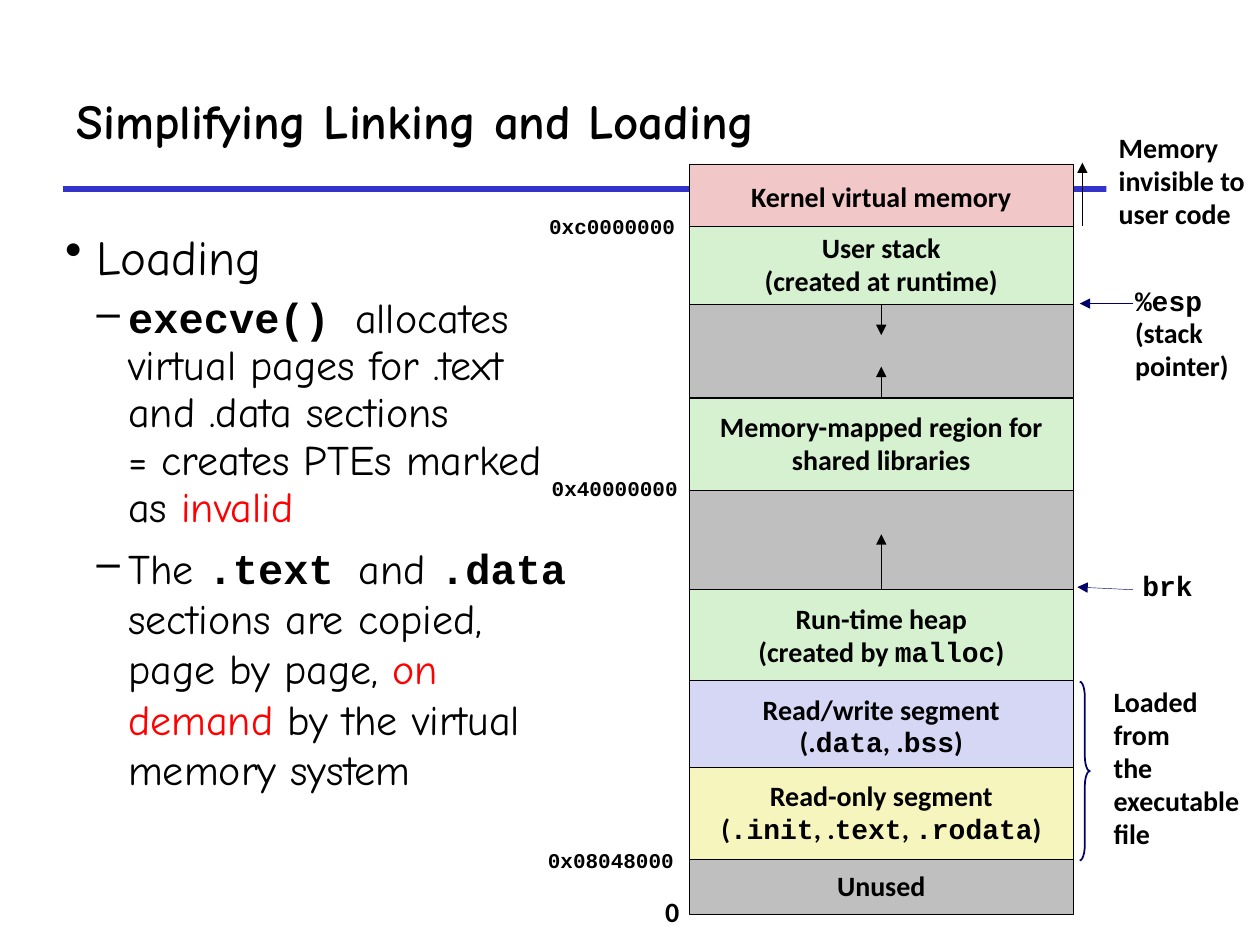
from dataclasses import dataclass
from typing import Optional

from lxml.etree import SubElement
from pptx import Presentation
from pptx.dml.color import RGBColor
from pptx.enum.shapes import MSO_CONNECTOR, MSO_SHAPE
from pptx.enum.text import MSO_ANCHOR, MSO_AUTO_SIZE, PP_ALIGN
from pptx.oxml.ns import qn
from pptx.util import Pt

COLORS = {
    "black": "000000", "white": "FFFFFF", "red": "FF0000", "rule": "3333CC",
    "navy": "000066", "pink": "F1C7C7", "green": "D5F1CF", "gray": "BFBFBF",
    "lavender": "D6D6F5", "yellow": "F6F5BD",
}
HAND, LABEL, CODE = "Comic Neue", "Calibri", "Courier New"
COLUMN_LEFT, COLUMN_WIDTH = 393.8, 219.6
COLUMN_CENTER = COLUMN_LEFT + COLUMN_WIDTH / 2
TOP, BOTTOM = 0, 2


@dataclass
class Run:
    text: str
    font: str = LABEL
    color: str = "black"
    bold: bool = True


@dataclass
class Region:
    name: str
    top: float
    height: float
    fill: str
    lines: tuple = ()


@dataclass
class Note:
    left: float
    top: float
    width: float
    height: float
    lines: tuple
    size: float = 16
    fill: Optional[str] = None


@dataclass
class Arrow:
    start: tuple
    end: tuple
    color: str = "black"
    region: Optional[str] = None
    site: int = TOP


@dataclass
class Bullet:
    runs: tuple
    size: float = 24
    level: int = 1
    mark: str = "–"
    indent: float = 36
    line_spacing: float = 1.0
    space_before: float = 5.6


def label(text: str) -> tuple:
    """Return a line in the label font."""
    return (Run(text),)


def code(text: str) -> tuple:
    """Return a line in the code font."""
    return (Run(text, CODE),)


def hand(text: str, color: str = "black") -> Run:
    """Return a regular run in the handwriting font."""
    return Run(text, HAND, color, False)


REGIONS = (
    Region("kernel", 93.6, 38.2, "pink", (label("Kernel virtual memory"),)),
    Region("mapped", 227.5, 52.6, "green",
           (label("Memory-mapped region for"), label("shared libraries"))),
    Region("heap gap", 280.1, 56.9, "gray"),
    Region("heap", 337, 52.6, "green",
           (label("Run-time heap"),
            (Run("(created by "), Run("malloc", CODE), Run(")")))),
    Region("stack gap", 155.5, 71.6, "gray"),
    Region("stack", 129.4, 44.6, "green",
           (label("User stack"), label("(created at runtime)"))),
    Region("unused", 491, 31.2, "gray", (label("Unused"),)),
    Region("read/write", 388.9, 52.6, "lavender",
           (label("Read/write segment"),
            (Run("(."), Run("data", CODE), Run(", ."), Run("bss", CODE), Run(")")))),
    Region("read-only", 438.5, 52.6, "yellow",
           (label("Read-only segment"),
            (Run("("), Run(".init", CODE), Run(", ."), Run("text", CODE),
             Run(", "), Run(".rodata", CODE), Run(")")))),
)
NOTES = (
    Note(373, 508.3, 22.3, 25.9, (label("0"),)),
    Note(641.5, 159.8, 68.4, 63.4, (code("%esp"), label("(stack"), label("pointer)"))),
    Note(632.2, 72, 86.4, 64.1,
         (label("Memory"), label("invisible to"), label("user code")), fill="white"),
    Note(645.8, 322.6, 43.2, 25.2, (code("brk"),)),
    Note(306.7, 119.5, 86.4, 20.9, (code("0xc0000000"),), 12),
    Note(306, 481.7, 86.4, 20.9, (code("0x08048000"),), 12),
    Note(308.2, 269.3, 86.4, 20.9, (code("0x40000000"),), 12),
    Note(629.3, 388.8, 90.7, 101.5,
         tuple(label(word) for word in ("Loaded", "from", "the", "executable", "file"))),
)
ARROWS = (
    Arrow((COLUMN_CENTER, 337), (COLUMN_CENTER, 305.3), region="heap"),
    Arrow((COLUMN_CENTER, 227.5), (COLUMN_CENTER, 209.5), region="mapped"),
    Arrow((COLUMN_CENTER, 174), (COLUMN_CENTER, 191.5), region="stack", site=BOTTOM),
    Arrow((647.3, 173.5), (617, 173.5), "navy"),
    Arrow((618.5, 128.9), (618.5, 92.9)),
    Arrow((647.3, 337), (615.6, 335.5), "navy"),
)
BULLETS = (
    Bullet((hand("Loading"),), 28, 0, "•", 18, space_before=0),
    Bullet((Run("execve() ", CODE),
            hand("allocates virtual pages for .text and .data sections "
                 "\n= creates PTEs marked as "),
            hand("invalid", "red")), line_spacing=0.94),
    Bullet((hand("The "), Run(".text ", CODE), hand("and "), Run(".data ", CODE),
            hand("sections are copied, page by page, "), hand("on demand", "red"),
            hand(" by the virtual memory system"))),
)


def rgb(name: str) -> RGBColor:
    """Look up a named colour."""
    return RGBColor.from_string(COLORS[name])


def write_runs(paragraph, runs: tuple, size: float) -> None:
    """Append formatted runs, with line breaks at newlines."""
    for item in runs:
        for index, text in enumerate(item.text.split("\n")):
            if index:
                paragraph.add_line_break()
            run = paragraph.add_run()
            run.text = text
            run.font.name, run.font.size, run.font.bold = item.font, Pt(size), item.bold
            run.font.color.rgb = rgb(item.color)


def write_lines(text_frame, lines: tuple, size: float, alignment=PP_ALIGN.LEFT) -> None:
    """Write one paragraph for each line."""
    text_frame.word_wrap = False
    for index, runs in enumerate(lines):
        paragraph = text_frame.add_paragraph() if index else text_frame.paragraphs[0]
        paragraph.alignment = alignment
        paragraph.line_spacing = 0.94 if runs[0].font == CODE else 0.98
        write_runs(paragraph, runs, size)


def draw_line(slide, start: tuple, end: tuple, color: str, width: float):
    """Draw a straight connector without shadow."""
    connector = slide.shapes.add_connector(
        MSO_CONNECTOR.STRAIGHT, *(Pt(value) for value in start + end))
    connector.line.color.rgb = rgb(color)
    connector.line.width = Pt(width)
    SubElement(connector._element.spPr, qn("a:effectLst"))
    return connector


def draw_arrow(slide, arrow: Arrow, shapes: dict) -> None:
    """Draw an arrow, joined to its region if it has one."""
    connector = draw_line(slide, arrow.start, arrow.end, arrow.color, 0.25)
    SubElement(connector.line._get_or_add_ln(), qn("a:tailEnd"), type="triangle")
    if arrow.region:
        connector.begin_connect(shapes[arrow.region], arrow.site)


def draw_region(slide, region: Region):
    """Draw one block of the memory column."""
    shape = slide.shapes.add_shape(MSO_SHAPE.RECTANGLE, Pt(COLUMN_LEFT), Pt(region.top),
                                   Pt(COLUMN_WIDTH), Pt(region.height))
    shape.shadow.inherit = False
    shape.fill.solid()
    shape.fill.fore_color.rgb = rgb(region.fill)
    shape.line.color.rgb = rgb("black")
    shape.line.width = Pt(0.25)
    shape.text_frame.vertical_anchor = MSO_ANCHOR.MIDDLE
    write_lines(shape.text_frame, region.lines, 16, PP_ALIGN.CENTER)
    return shape


def add_box(slide, left: float, top: float, width: float, height: float):
    """Add an empty text box."""
    return slide.shapes.add_textbox(Pt(left), Pt(top), Pt(width), Pt(height))


def draw_note(slide, note: Note) -> None:
    """Draw a label beside the memory column."""
    shape = add_box(slide, note.left, note.top, note.width, note.height)
    if note.fill:
        shape.fill.solid()
        shape.fill.fore_color.rgb = rgb(note.fill)
    write_lines(shape.text_frame, note.lines, note.size)
    shape.text_frame.auto_size = MSO_AUTO_SIZE.SHAPE_TO_FIT_TEXT


def draw_bullets(slide) -> None:
    """Draw the bulleted text on the left."""
    text_frame = add_box(slide, 30.2, 126, 306, 376.6).text_frame
    text_frame.word_wrap = True
    for index, bullet in enumerate(BULLETS):
        paragraph = text_frame.add_paragraph() if index else text_frame.paragraphs[0]
        properties = paragraph._p.get_or_add_pPr()
        properties.set("marL", str(Pt(bullet.indent)))
        properties.set("indent", str(Pt(-18)))
        bullet_color = SubElement(properties, qn("a:buClr"))
        SubElement(bullet_color, qn("a:srgbClr"), val=COLORS["black"])
        SubElement(properties, qn("a:buChar"), char=bullet.mark)
        paragraph.level = bullet.level
        paragraph.line_spacing = bullet.line_spacing
        paragraph.space_before = Pt(bullet.space_before)
        write_runs(paragraph, bullet.runs, bullet.size)


def draw_brace(slide) -> None:
    """Draw the brace around the loaded segments."""
    brace = slide.shapes.add_shape(MSO_SHAPE.RIGHT_BRACE, Pt(617), Pt(389.5), Pt(5.8), Pt(102.2))
    brace.adjustments[0] = 1.5
    brace.shadow.inherit = False
    brace.fill.background()
    brace.line.color.rgb = rgb("navy")
    brace.line.width = Pt(1)


def main() -> None:
    """Build and save the slide."""
    presentation = Presentation()
    presentation.slide_width, presentation.slide_height = Pt(720), Pt(540)
    slide = presentation.slides.add_slide(presentation.slide_layouts[6])
    draw_line(slide, (36, 108), (672, 108), "rule", 3)
    title = add_box(slide, 36.7, 30.2, 652.3, 77).text_frame
    title.word_wrap = True
    title.vertical_anchor = MSO_ANCHOR.MIDDLE
    write_runs(title.paragraphs[0], (Run("Simplifying Linking and Loading", HAND),), 28)
    draw_bullets(slide)
    shapes = {region.name: draw_region(slide, region) for region in REGIONS}
    for note in NOTES:
        draw_note(slide, note)
    for arrow in ARROWS:
        draw_arrow(slide, arrow, shapes)
    draw_brace(slide)
    presentation.save("out.pptx")


if __name__ == "__main__":
    main()
